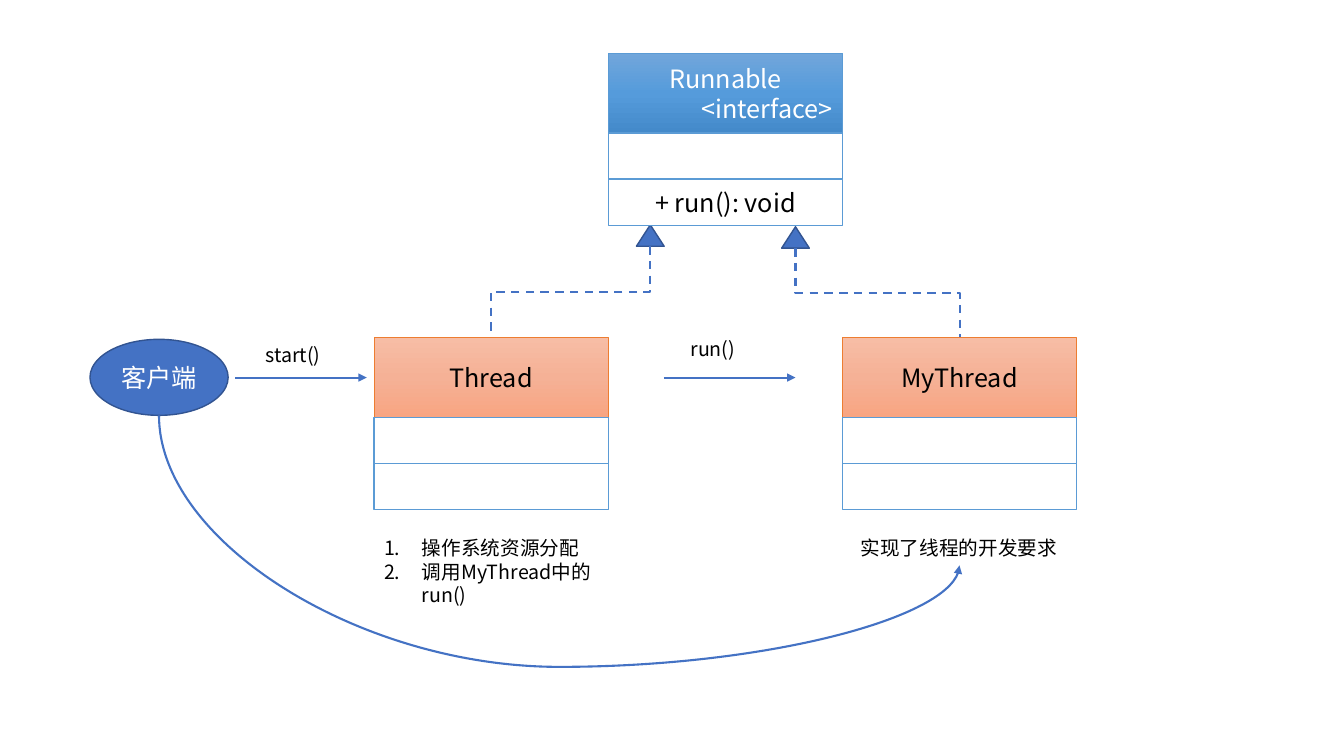
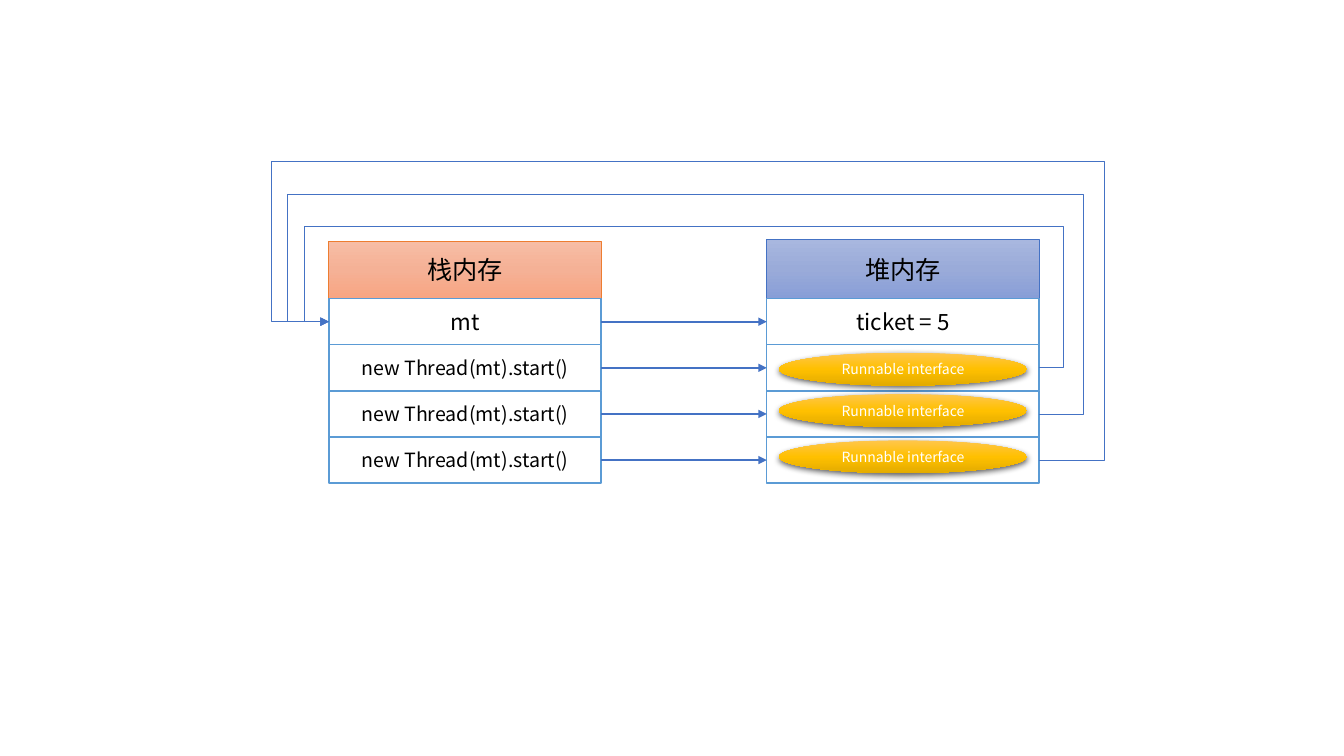
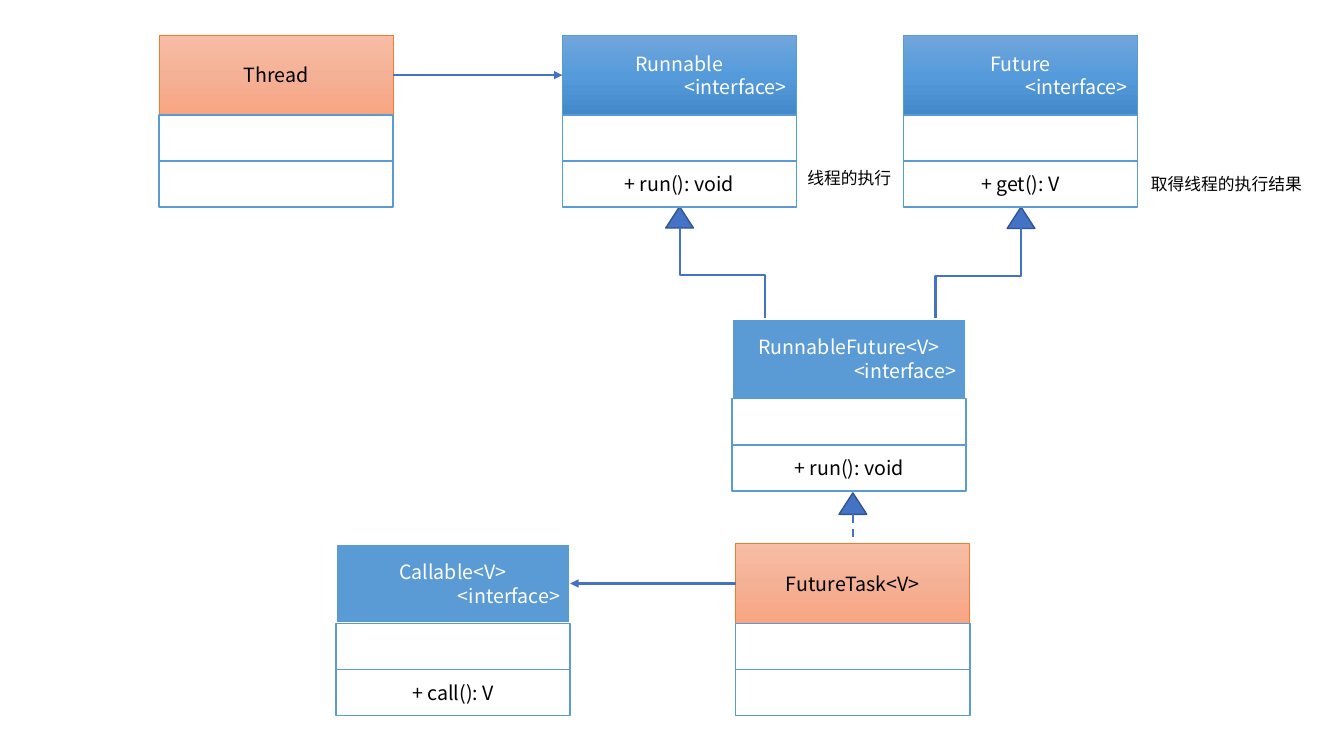
from copy import deepcopy
from dataclasses import dataclass

from lxml.etree import SubElement as Sub
from pptx import Presentation
from pptx.dml.color import RGBColor as RGB
from pptx.enum.dml import MSO_LINE as Dash
from pptx.enum.shapes import MSO_CONNECTOR as Link, MSO_SHAPE as Form
from pptx.enum.text import MSO_ANCHOR as Anchor, MSO_AUTO_SIZE as Fit, PP_ALIGN as Align
from pptx.oxml.ns import qn
from pptx.util import Pt

FONT = "Noto Sans CJK SC"
WHITE = RGB(0xFF, 0xFF, 0xFF)
BLACK = RGB(0x00, 0x00, 0x00)
SKY = RGB(0x5B, 0x9B, 0xD5)
BLUE = RGB(0x44, 0x72, 0xC4)
NAVY = RGB(0x32, 0x54, 0x91)
ORANGE = RGB(0xED, 0x7D, 0x31)
SKY_FADE = (RGB(0x71, 0xA6, 0xDB), RGB(0x55, 0x9B, 0xDB), RGB(0x44, 0x8A, 0xCA))
PEACH_FADE = (RGB(0xF7, 0xBD, 0xA5), RGB(0xF5, 0xB1, 0x96), RGB(0xF8, 0xA5, 0x82))
BLUE_FADE = (RGB(0xA8, 0xB7, 0xDF), RGB(0x9A, 0xAB, 0xD9), RGB(0x88, 0x9E, 0xD7))
GOLD_FADE = (RGB(0xFF, 0xC6, 0x4B), RGB(0xFF, 0xC0, 0x00), RGB(0xE3, 0xAB, 0x00))

WIDE, HEAD, ROW = 167.2, 56.9, 32.95
TIP_W, TIP_H = 19.8, 15.3


@dataclass(frozen=True)
class Skin:
    fill: tuple
    edge: RGB | None = None
    width: float = 0
    ink: RGB = BLACK


@dataclass(frozen=True)
class Row:
    text: str = ""
    size: float = 14


@dataclass(frozen=True)
class Box:
    x: float
    y: float
    head: str
    skin: Skin
    rows: tuple = (Row(), Row())
    size: float = 14
    wide: float = WIDE
    tall: float = HEAD


@dataclass(frozen=True)
class Rise:
    x: float
    y: float
    end_x: float
    end_y: float
    dash: bool = False


@dataclass(frozen=True)
class Note:
    x: float
    y: float
    wide: float
    tall: float
    text: str
    size: float = 14


FACE = Skin(SKY_FADE, SKY, 0.5, WHITE)
FLAT = Skin((SKY,), WHITE, 1.5, WHITE)
PEACH = Skin(PEACH_FADE, ORANGE, 0.5)
HEAP = Skin(BLUE_FADE, BLUE, 0.5)
CELL = Skin((WHITE,), SKY, 1)
SOLID = Skin((BLUE,), NAVY, 1, WHITE)
GOLD = Skin(GOLD_FADE, ink=WHITE)


def style(frame, size: float, ink: RGB) -> None:
    for para in frame.paragraphs:
        for run in para.runs:
            run.font.name, run.font.size = FONT, Pt(size)
            run.font.color.rgb = ink
            Sub(run.font._element, qn("a:ea"), typeface=FONT)


def paint(shape, skin: Skin) -> None:
    fill = shape.fill
    if len(skin.fill) == 1:
        fill.solid()
        fill.fore_color.rgb = skin.fill[0]
    else:
        fill.gradient()
        fill.gradient_angle = 270
        stops = shape._element.spPr.find(".//" + qn("a:gsLst"))
        stops.append(deepcopy(stops[0]))
        for i, (stop, tone) in enumerate(zip(fill.gradient_stops, skin.fill)):
            stop.position, stop.color.rgb = i / 2, tone
    if skin.edge is None:
        shape.line.fill.background()
    else:
        shape.line.color.rgb, shape.line.width = skin.edge, Pt(skin.width)


def block(slide, form, x: float, y: float, wide: float, tall: float,
          skin: Skin, text: str = "", size: float = 14):
    shape = slide.shapes.add_shape(form, Pt(x), Pt(y), Pt(wide), Pt(tall))
    shape.shadow.inherit = False
    paint(shape, skin)
    if text:
        frame = shape.text_frame
        frame.text, frame.vertical_anchor = text, Anchor.MIDDLE
        for i, para in enumerate(frame.paragraphs):
            para.alignment = Align.RIGHT if i else Align.CENTER
        style(frame, size, skin.ink)
    return shape


def stack(slide, box: Box) -> None:
    block(slide, Form.RECTANGLE, box.x, box.y, box.wide, box.tall, box.skin, box.head, box.size)
    for i, row in enumerate(box.rows):
        block(slide, Form.RECTANGLE, box.x, box.y + box.tall + i * ROW, box.wide, ROW,
              CELL, row.text, row.size)


def label(slide, note: Note) -> None:
    shape = slide.shapes.add_textbox(Pt(note.x), Pt(note.y), Pt(note.wide), Pt(note.tall))
    frame = shape.text_frame
    frame.text, frame.word_wrap = note.text, False
    frame.auto_size = Fit.SHAPE_TO_FIT_TEXT
    style(frame, note.size, BLACK)


def wire(slide, kind, x: float, y: float, end_x: float, end_y: float,
         width: float = 1.5, head: bool = True):
    line = slide.shapes.add_connector(kind, Pt(x), Pt(y), Pt(end_x), Pt(end_y))
    line.line.color.rgb, line.line.width = BLUE, Pt(width)
    if head:
        Sub(line.line._get_or_add_ln(), qn("a:tailEnd"), type="triangle")
    Sub(line._element.spPr, qn("a:effectLst"))
    return line


def bend(line, ratios: list[float], preset: str = "") -> None:
    geom = line._element.spPr.find(qn("a:prstGeom"))
    if preset:
        geom.set("prst", preset)
    guides = geom.find(qn("a:avLst"))
    if guides is None:
        guides = Sub(geom, qn("a:avLst"))
    for i, ratio in enumerate(ratios, 1):
        name = f"adj{i}"
        Sub(guides, qn("a:gd"), name=name, fmla=f"val {round(ratio * 100000)}")


def upright(slide, kind, x: float, y: float, end_x: float, end_y: float, head: bool = False):
    long, span = end_y - y, abs(end_x - x)
    left, top = (x + end_x - long) / 2, (y + end_y - span) / 2
    line = wire(slide, kind, left, top, left + long, top + span, head=head)
    frame = line._element.spPr.find(qn("a:xfrm"))
    if end_x < x:
        frame.set("rot", "5400000")
    else:
        frame.set("rot", "16200000")
        frame.set("flipH", "1")
    return line


def climb(slide, rise: Rise) -> None:
    block(slide, Form.ISOSCELES_TRIANGLE, rise.x - TIP_W / 2, rise.y, TIP_W, TIP_H, SOLID)
    line = upright(slide, Link.ELBOW, rise.x, rise.y + TIP_H, rise.end_x, rise.end_y)
    if rise.dash:
        line.line.dash_style = Dash.DASH


def steps(slide, x: float, y: float, wide: float, tall: float, items: list[str]) -> None:
    body = slide.placeholders[1]
    body.left, body.top, body.width, body.height = Pt(x), Pt(y), Pt(wide), Pt(tall)
    frame = body.text_frame
    frame.text, frame.word_wrap, frame.auto_size = "\n".join(items), True, Fit.NONE
    for para in frame.paragraphs:
        para.space_before = Pt(0)
        props = para._p.get_or_add_pPr()
        props.set("marL", str(Pt(27)))
        props.set("indent", str(Pt(-27)))
        Sub(props, qn("a:buFont"), typeface="+mj-lt")
        Sub(props, qn("a:buAutoNum"), type="arabicPeriod")
    style(frame, 14, BLACK)


def proxy(deck) -> None:
    slide = deck.slides.add_slide(deck.slide_layouts[1])
    title = slide.shapes.title._element
    title.getparent().remove(title)
    steps(slide, 267.1, 379.4, 190, 58, ["操作系统资源分配", "调用MyThread中的run()"])
    for rise in (Rise(464.5, 160.6, 350.6, 241.2, True),
                 Rise(568.2, 162, 685.4, 241.2, True)):
        climb(slide, rise)
    for box in (
        Box(434.7, 38.2, "Runnable\n<interface>", FACE, (Row(), Row("+ run(): void", 18)), 18),
        Box(267.3, 241.2, "Thread", PEACH, size=18),
        Box(601.9, 241.2, "MyThread", PEACH, size=18),
    ):
        stack(slide, box)
    for x in (168, 474.2):
        wire(slide, Link.STRAIGHT, x, 269.7, x + 94, 269.7)
    block(slide, Form.OVAL, 64.3, 242.4, 98.7, 54.3, SOLID, "客户端", 18)
    for note in (Note(607.7, 379.4, 156, 24.2, "实现了线程的开发要求"),
                 Note(182.6, 241.3, 64, 24.2, "start()"),
                 Note(486.1, 236.9, 50, 24.2, "run()")):
        label(slide, note)
    bend(upright(slide, Link.CURVE, 113.6, 296.7, 685.4, 403.9, True), [1.676])


def memory(deck) -> None:
    slide = deck.slides.add_slide(deck.slide_layouts[6])
    left, right, wide, top = 234.9, 547.7, 194.5, 213.3
    far = right + wide
    start = Row("new Thread(mt).start()")
    stack(slide, Box(left, 172.1, "栈内存", PEACH, (Row("mt", 16), start, start, start),
                     18, wide, top - 172.1))
    stack(slide, Box(right, 171, "堆内存", HEAP, (Row("ticket = 5", 16), Row(), Row(), Row()),
                     18, wide, top - 171))
    mids = [top + (i + 0.5) * ROW for i in range(4)]
    for mid in mids:
        wire(slide, Link.STRAIGHT, left + wide, mid, right, mid)
    for y in (252, 281.5, 314.6):
        oval = block(slide, Form.OVAL, right + 8.7, y, 177.1, 23.4, GOLD, "Runnable interface", 10)
        glow = Sub(oval._element.spPr.find(qn("a:effectLst")), qn("a:outerShdw"),
                   blurRad=str(Pt(4.5)), dist=str(Pt(1.5)), dir="5400000", rotWithShape="0")
        Sub(Sub(glow, qn("a:srgbClr"), val=str(BLACK)), qn("a:alpha"), val="63000")
    goal, span = mids[0], far - left
    for i, mid in enumerate(mids[1:]):
        lane = 162 - 23.4 * i
        line = wire(slide, Link.ELBOW, far, mid, left, goal, 0.5)
        bend(line, [-(17.3 + 14.75 * i) / span, (mid - lane) / (mid - goal),
                    1 + (17.3 + 12 * i) / span], "bentConnector5")


def future(deck) -> None:
    slide = deck.slides.add_slide(deck.slide_layouts[6])
    for rise in (Rise(485.4, 147.6, 546.5, 230.4),
                 Rise(729.3, 147.9, 668.2, 231.1),
                 Rise(609.2, 352.1, 609.2, 388.1, True)):
        climb(slide, rise)
    run = (Row(), Row("+ run(): void"))
    for box in (
        Box(113.7, 25.2, "Thread", PEACH),
        Box(401.7, 25.2, "Runnable\n<interface>", FACE, run),
        Box(645.4, 25.2, "Future\n<interface>", FACE, (Row(), Row("+ get(): V"))),
        Box(523, 227.9, "RunnableFuture<V>\n<interface>", FLAT, run),
        Box(240, 388.3, "Callable<V>\n<interface>", FLAT, (Row(), Row("+ call(): V"))),
        Box(525.6, 388.3, "FutureTask<V>", PEACH),
    ):
        stack(slide, box)
    label(slide, Note(569.6, 116.4, 75, 21.8, "线程的执行", 12))
    label(slide, Note(815, 120.4, 124, 21.8, "取得线程的执行结果", 12))
    wire(slide, Link.STRAIGHT, 280.9, 53.7, 401.7, 53.7)
    wire(slide, Link.STRAIGHT, 525.6, 416.8, 407.3, 416.8)


def main() -> None:
    deck = Presentation()
    deck.slide_width, deck.slide_height = Pt(960), Pt(540)
    for draw in (proxy, memory, future):
        draw(deck)
    deck.save("out.pptx")


main()
